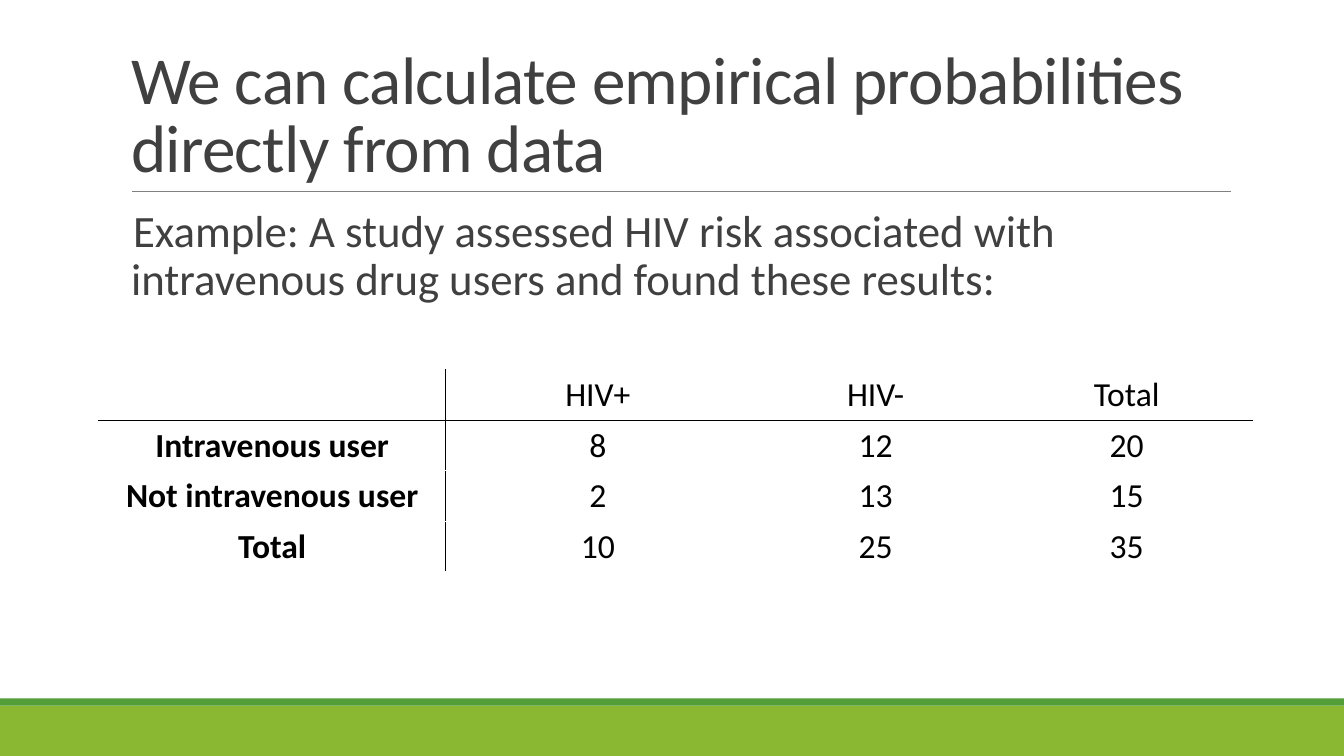
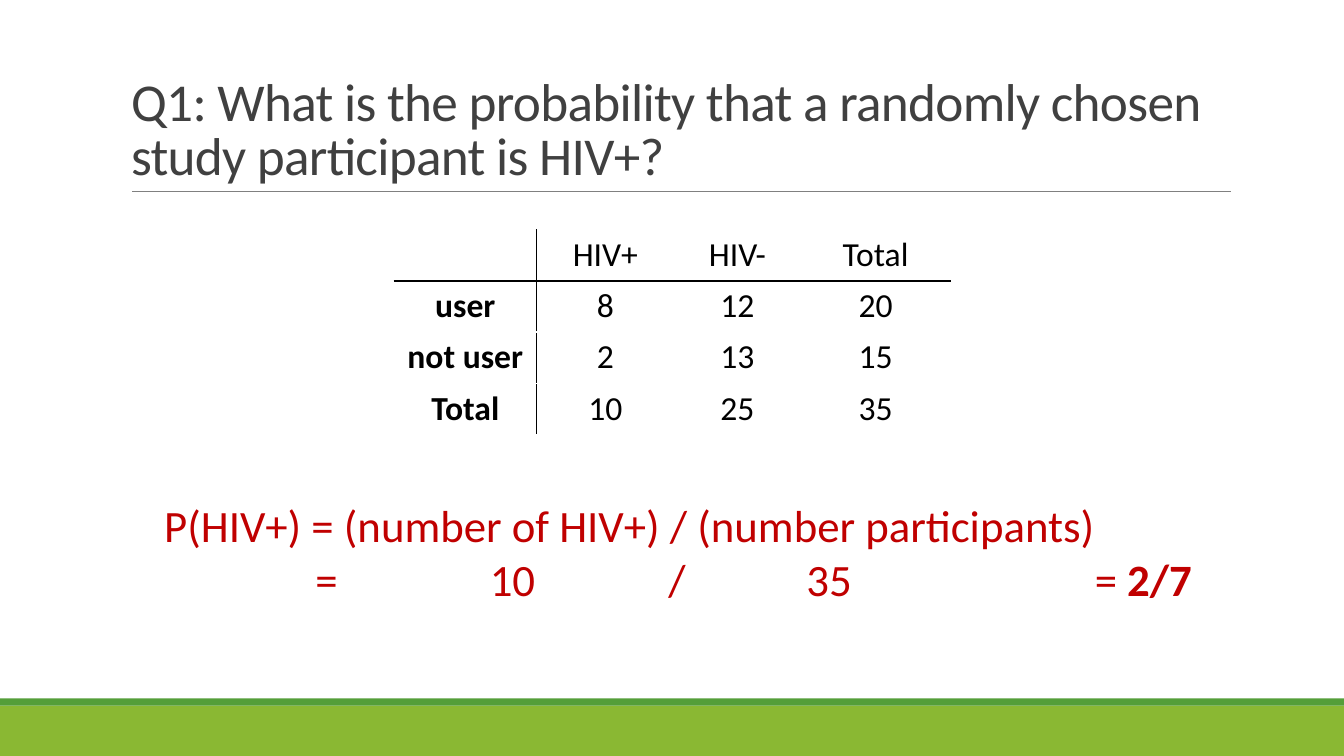
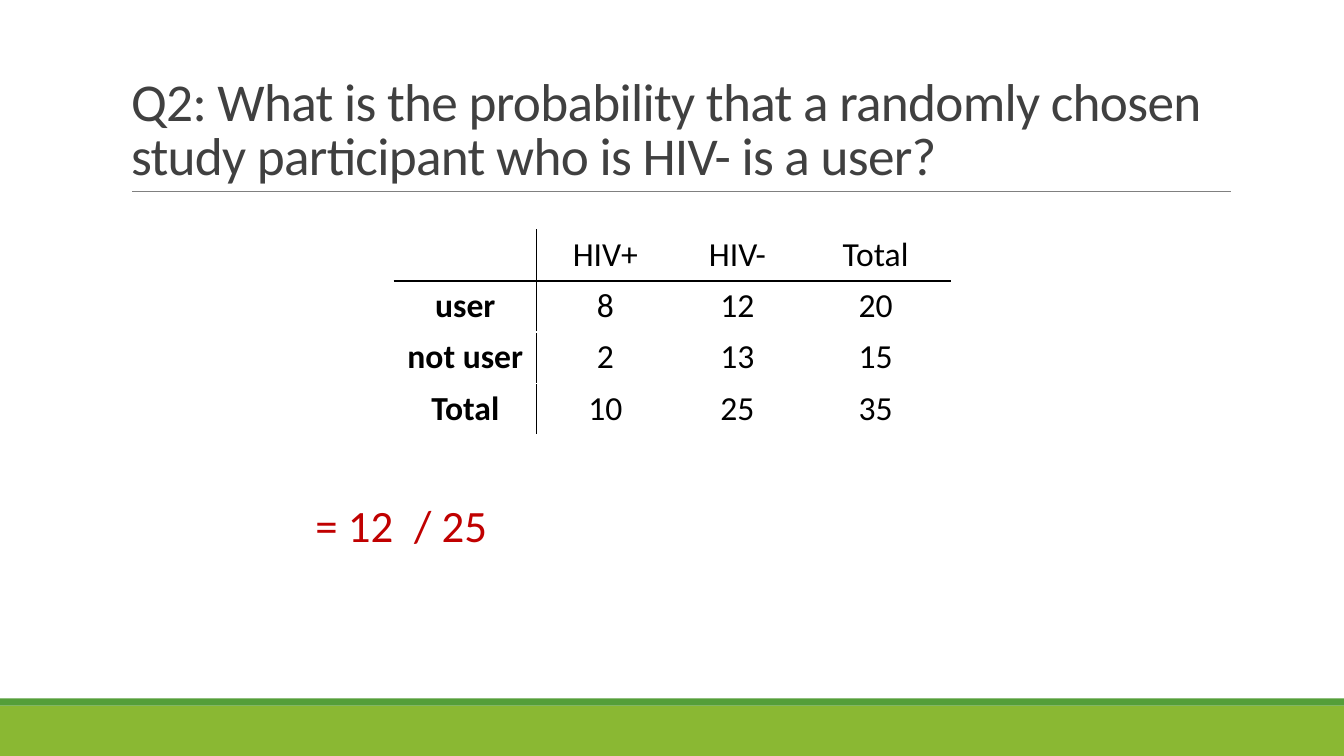
from dataclasses import dataclass

from lxml import etree
from pptx import Presentation
from pptx.dml.color import RGBColor
from pptx.enum.shapes import MSO_CONNECTOR, MSO_SHAPE
from pptx.enum.text import MSO_ANCHOR, MSO_AUTO_SIZE, PP_ALIGN
from pptx.oxml.ns import qn
from pptx.util import Inches, Pt

RECT = MSO_SHAPE.RECTANGLE
STRAIGHT = MSO_CONNECTOR.STRAIGHT
BOTTOM = MSO_ANCHOR.BOTTOM
FIXED, GROW = MSO_AUTO_SIZE.NONE, MSO_AUTO_SIZE.SHAPE_TO_FIT_TEXT
LEFT, CENTER = PP_ALIGN.LEFT, PP_ALIGN.CENTER
TITLE_ONLY = 5


@dataclass(frozen=True)
class Theme:
    face: str = "Calibri"
    lime: str = "8AB833"
    green: str = "549E39"
    gray: str = "808080"
    text: str = "404040"
    black: str = "000000"
    red: str = "C00000"
    head: int = 48
    ask: int = 38
    body: int = 32
    cell: int = 24


THEME = Theme()

# Counts shared by all tables: users, non-users, totals
COUNTS = [("8", "12", "20"), ("2", "13", "15"), ("10", "25", "35")]
HEADS = ("", "HIV+", "HIV-", "Total")


def rgb(code):
    return RGBColor.from_string(code)


def style(para, size, color, align=LEFT, bold=None):
    font = para.font
    font.name, font.size, font.bold = THEME.face, Pt(size), bold
    font.color.rgb = rgb(color)
    para.alignment = align


# Title, rule and bottom bands
def add_band(slide, top, height, color):
    band = slide.shapes.add_shape(
        RECT, 0, Inches(top), Inches(13.33), Inches(height))
    band.shadow.inherit = False
    band.fill.solid()
    band.fill.fore_color.rgb = rgb(color)
    band.line.fill.background()


def add_rule(slide):
    rule = slide.shapes.add_connector(
        STRAIGHT, Inches(1.31), Inches(1.9), Inches(12.21), Inches(1.9))
    rule.line.color.rgb = rgb(THEME.gray)
    rule.line.width = Pt(0.5)
    etree.SubElement(rule.element.spPr, qn("a:effectLst"))


def set_title(slide, text, size):
    title = slide.shapes.title
    title.left, title.top = Inches(1.2), Inches(0.31)
    title.width, title.height = Inches(11), Inches(1.59)
    frame = title.text_frame
    frame.text = text
    frame.word_wrap = True
    frame.auto_size = FIXED
    frame.vertical_anchor = BOTTOM
    para = frame.paragraphs[0]
    para.line_spacing = 0.85
    style(para, size, THEME.text)
    for props in title.element.iter(qn("a:defRPr")):
        props.set("spc", "-50")


def add_slide(deck, title, size):
    slide = deck.slides.add_slide(deck.slide_layouts[TITLE_ONLY])
    add_band(slide, 7, 0.5, THEME.lime)
    add_band(slide, 6.93, 0.07, THEME.green)
    add_rule(slide)
    set_title(slide, title, size)
    return slide


# Text
def add_box(slide, left, top, width, height):
    box = slide.shapes.add_textbox(
        Inches(left), Inches(top), Inches(width), Inches(height))
    box.text_frame.word_wrap = True
    return box


def add_intro(slide, text):
    box = add_box(slide, 1.2, 2.02, 11, 4.4)
    frame = box.text_frame
    frame.margin_left = frame.margin_right = 0
    frame.text = text
    para = frame.paragraphs[0]
    para.line_spacing = 0.9
    para.space_before, para.space_after = Pt(12), Pt(2)
    style(para, THEME.body, THEME.text)
    for props in box.element.iter(qn("a:pPr")):
        props.set("marL", str(Inches(0.1)))
        props.set("indent", str(Inches(0.02)))


def add_answer(slide, lines, height, stops):
    """Each line is a list of (text, bold) runs, aligned on tab stops."""
    box = add_box(slide, 1.53, 4.89, 10.96, height)
    frame = box.text_frame
    frame.auto_size = GROW
    for i, line in enumerate(lines):
        para = frame.add_paragraph() if i else frame.paragraphs[0]
        for text, bold in line:
            run = para.add_run()
            run.text = text
            if bold:
                run.font.bold = True
        style(para, THEME.body, THEME.red)
    for props in box.element.iter(qn("a:pPr")):
        tabs = etree.Element(qn("a:tabLst"))
        for stop in stops:
            etree.SubElement(
                tabs, qn("a:tab"), pos=str(Inches(stop)), algn="l")
        props.find(qn("a:defRPr")).addprevious(tabs)


# Table with one line below the heads and one beside the labels
def set_edges(cell, sides):
    props = cell._tc.get_or_add_tcPr()
    for i, side in enumerate(sides):
        edge = etree.Element(qn(f"a:ln{side}"), w=str(Pt(1)))
        fill = etree.SubElement(edge, qn("a:solidFill"))
        etree.SubElement(fill, qn("a:srgbClr"), val=THEME.black)
        props.insert(i, edge)


def add_grid(slide, left, top, widths, labels):
    rows = [HEADS] + [(name, *nums) for name, nums in zip(labels, COUNTS)]
    grid = slide.shapes.add_table(
        len(rows), len(widths), Inches(left), Inches(top),
        Inches(sum(widths)), Inches(0.5 * len(rows))).table
    grid.first_row = grid.horz_banding = False
    for col, width in zip(grid.columns, widths):
        col.width = Inches(width)
    for r, row in enumerate(rows):
        for c, text in enumerate(row):
            cell = grid.cell(r, c)
            cell.text = text
            cell.fill.background()
            style(cell.text_frame.paragraphs[0], THEME.cell, THEME.black,
                  CENTER, bold=c == 0)
            marks = {"L": c == 1, "R": c == 0, "T": r == 1, "B": r == 0}
            set_edges(cell, [side for side, on in marks.items() if on])


def add_query(deck, title, lines, height, stops):
    slide = add_slide(deck, title, THEME.ask)
    add_grid(slide, 3.91, 2.28, (1.41, 1.37, 1.25, 1.49),
             ("user", "not user", "Total"))
    add_answer(slide, lines, height, stops)


def main():
    deck = Presentation()
    deck.slide_width, deck.slide_height = Inches(13.33), Inches(7.5)

    # Study data
    study = add_slide(
        deck, "We can calculate empirical probabilities directly from data",
        THEME.head)
    add_intro(study, "Example: A study assessed HIV risk associated with "
              "intravenous drug users and found these results:")
    add_grid(study, 0.98, 3.67, (3.44, 3.02, 2.49, 2.49),
             ("Intravenous user", "Not intravenous user", "Total"))

    # Questions
    add_query(
        deck, "Q1: What is the probability that a randomly chosen "
        "study participant is HIV+?",
        [[("P(HIV+) = (number of HIV+) / (number participants)", False)],
         [("\t=\t10\t/\t35\t= ", False), ("2/7", True)]],
        1.18, (1.5, 3.23, 5, 6.37, 9.23))
    add_query(
        deck, "Q2: What is the probability that a randomly chosen "
        "study participant who is HIV- is a user?",
        [[("\t= 12\t/ 25", False)]], 0.64, (1.5, 2.48))

    deck.save("out.pptx")


if __name__ == "__main__":
    main()
